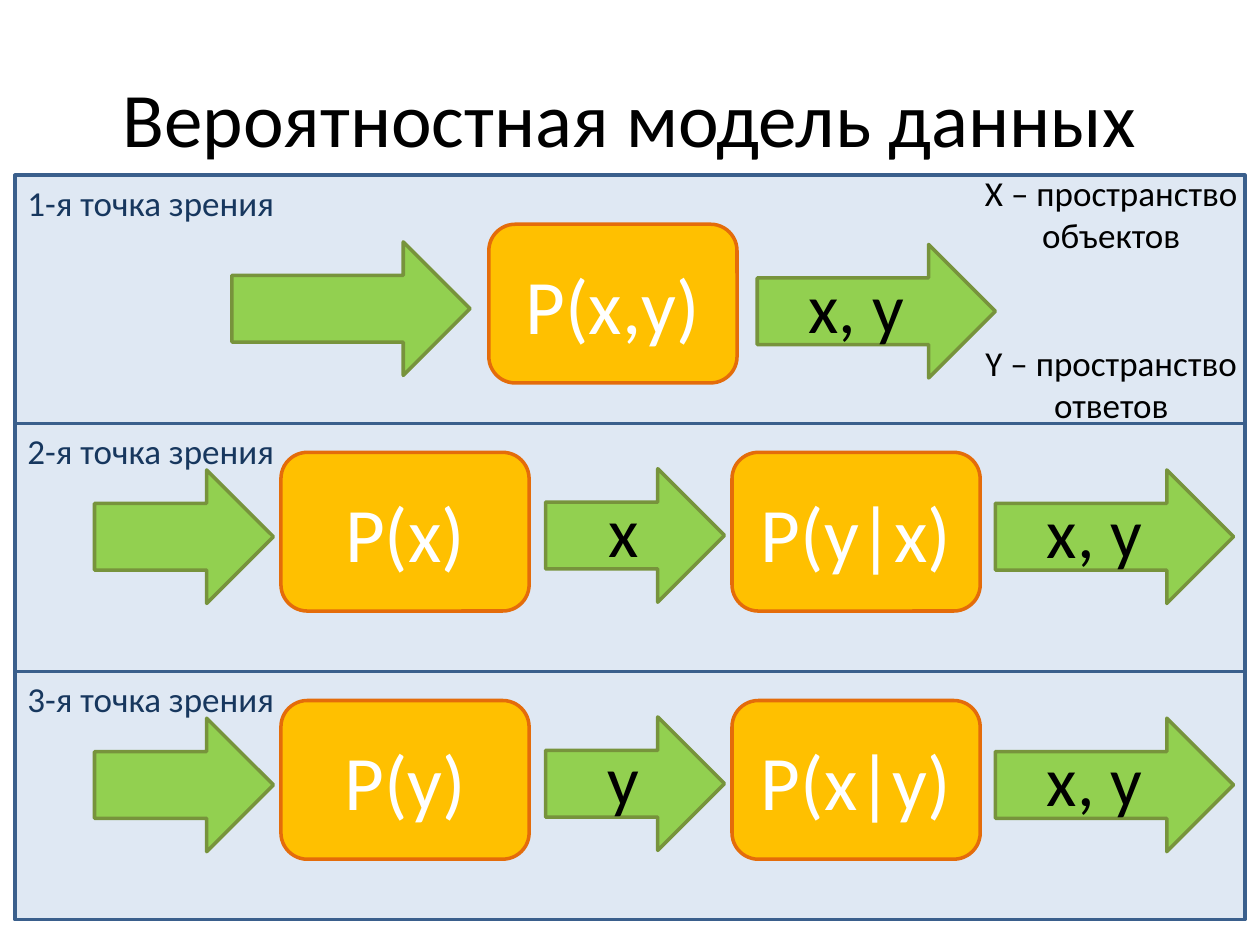
from lxml import etree
from pptx import Presentation
from pptx.dml.color import RGBColor
from pptx.enum.shapes import MSO_SHAPE
from pptx.enum.text import MSO_ANCHOR, PP_ALIGN
from pptx.oxml.ns import qn
from pptx.util import Inches, Pt

RECT, ROUNDED = MSO_SHAPE.RECTANGLE, MSO_SHAPE.ROUNDED_RECTANGLE
ARROW = MSO_SHAPE.RIGHT_ARROW
TOP, MIDDLE = MSO_ANCHOR.TOP, MSO_ANCHOR.MIDDLE
LEFT, CENTER = PP_ALIGN.LEFT, PP_ALIGN.CENTER

FONT = "Calibri"
BLACK = RGBColor(0x00, 0x00, 0x00)
WHITE = RGBColor(0xFF, 0xFF, 0xFF)
NAVY = RGBColor(0x17, 0x37, 0x5E)
PANEL_FILL = RGBColor(0x4F, 0x81, 0xBD)
PANEL_LINE = RGBColor(0x3A, 0x5F, 0x8C)
AMBER = RGBColor(0xFF, 0xC0, 0x00)
ORANGE = RGBColor(0xE4, 0x6C, 0x0A)
GREEN = RGBColor(0x92, 0xD0, 0x50)
DARK_GREEN = RGBColor(0x77, 0x93, 0x3C)

# Common sizes, in inches
PANEL_LEFT, PANEL_TOP, PANEL_WIDTH, PANEL_HEIGHT = 0.12, 1.39, 9.76, 1.97
BLOCK_WIDTH, BLOCK_HEIGHT = 1.97, 1.26
ARROW_HEIGHT, SHORT_ARROW, LONG_ARROW = 1.06, 1.42, 1.89


def write(holder, lines, size, color, align=LEFT, anchor=TOP):
    frame = holder.text_frame
    frame.word_wrap = True
    frame.vertical_anchor = anchor
    frame.text = "\n".join(lines)
    for paragraph in frame.paragraphs:
        paragraph.alignment = align
        paragraph.font.name = FONT
        paragraph.font.size = Pt(size)
        paragraph.font.color.rgb = color
    return frame


def add_text(slide, box, lines, size, color, align=LEFT, anchor=TOP):
    textbox = slide.shapes.add_textbox(*map(Inches, box))
    return write(textbox, lines, size, color, align, anchor)


def add_figure(slide, kind, box, fill, line):
    figure = slide.shapes.add_shape(kind, *map(Inches, box))
    figure.shadow.inherit = False
    figure.fill.solid()
    figure.fill.fore_color.rgb = fill
    figure.line.color.rgb = line
    figure.line.width = Pt(2)
    return figure


def add_panel(slide, box, caption):
    panel = add_figure(slide, RECT, box, PANEL_FILL, PANEL_LINE)
    color = panel.fill._xPr.find(".//" + qn("a:srgbClr"))
    etree.SubElement(color, qn("a:alpha"), val="18000")
    write(panel, [caption], 20, NAVY)


def add_block(slide, left, top, formula):
    block = add_figure(slide, ROUNDED, (left, top, BLOCK_WIDTH, BLOCK_HEIGHT),
                       AMBER, ORANGE)
    write(block, [formula], 44, WHITE, CENTER, MIDDLE)


def add_arrow(slide, left, top, width):
    add_figure(slide, ARROW, (left, top, width, ARROW_HEIGHT), GREEN, DARK_GREEN)


def add_result(slide, left, top):
    """Long arrow that carries the pair out of the model."""
    add_arrow(slide, left, top, LONG_ARROW)
    add_text(slide, (left + 0.31, top + 0.1, 1.45, 0.77), ["x, y"], 40, BLACK)


def add_joint_model(slide, left, top):
    add_block(slide, left + 3.76, top + 0.39, "P(x,y)")
    add_arrow(slide, left + 1.72, top + 0.53, LONG_ARROW)
    add_result(slide, left + 5.89, top + 0.55)


def add_two_step_model(slide, left, top, prior, variable, conditional):
    add_block(slide, left + 2.11, top + 0.23, prior)
    add_arrow(slide, left + 0.63, top + 0.37, SHORT_ARROW)
    add_result(slide, left + 7.78, top + 0.37)
    add_block(slide, left + 5.69, top + 0.23, conditional)
    add_arrow(slide, left + 4.21, top + 0.36, SHORT_ARROW)
    add_text(slide, (left + 4.24, top + 0.46, 1.18, 0.77), [variable],
             40, BLACK, CENTER)


def add_legend(slide, box):
    frame = add_text(slide, box,
                     ["X – пространство объектов", "Y – пространство ответов"],
                     20, BLACK, CENTER)
    frame.paragraphs[1].space_before = Pt(49)


def main():
    prs = Presentation()
    prs.slide_width, prs.slide_height = Inches(10), Inches(7.5)
    slide = prs.slides.add_slide(prs.slide_layouts[6])

    # Panels, one for each point of view
    tops = [PANEL_TOP + i * PANEL_HEIGHT for i in range(3)]
    for number, top in enumerate(tops, 1):
        add_panel(slide, (PANEL_LEFT, top, PANEL_WIDTH, PANEL_HEIGHT),
                  f"{number}-я точка зрения")

    # Title
    add_text(slide, (0.5, 0.3, 9, 1.25), ["Вероятностная модель данных"],
             44, BLACK, CENTER, MIDDLE)

    # Models inside the panels
    add_joint_model(slide, PANEL_LEFT, tops[0])
    add_two_step_model(slide, PANEL_LEFT, tops[1], "P(x)", "x", "P(y|x)")
    add_two_step_model(slide, PANEL_LEFT, tops[2], "P(y)", "y", "P(x|y)")

    # Meaning of the symbols
    add_legend(slide, (7.68, 1.31, 2.28, 2.12))

    prs.save("out.pptx")


if __name__ == "__main__":
    main()
